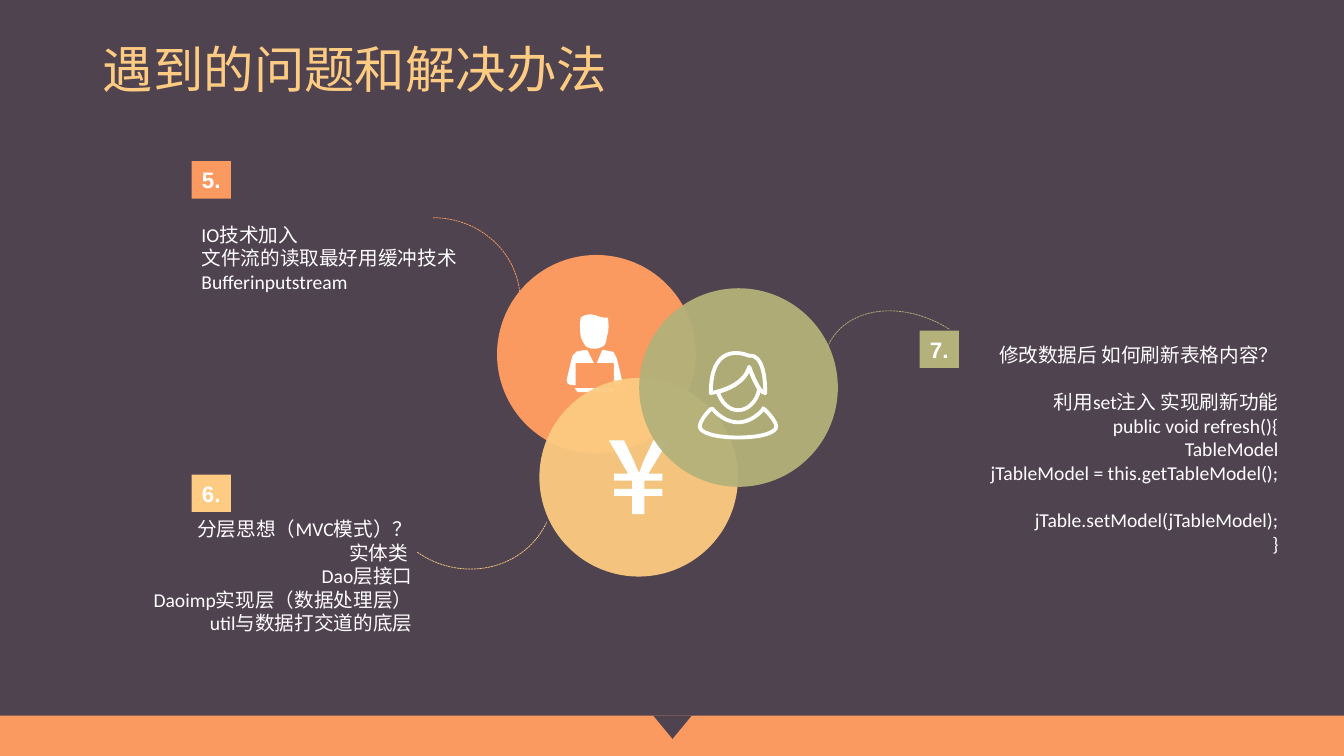
from lxml.etree import SubElement
from pptx import Presentation
from pptx.dml.color import RGBColor
from pptx.enum.dml import MSO_LINE
from pptx.enum.shapes import MSO_SHAPE
from pptx.enum.text import MSO_ANCHOR, PP_ALIGN
from pptx.oxml.ns import qn
from pptx.oxml.xmlchemy import OxmlElement
from pptx.util import Inches, Pt

PLUM, ORANGE, YELLOW, GREEN, WHITE = "4F434F", "FA9A60", "FDCB82", "B4B17A", "FFFFFF"
CIRCLE = 1.97

WORKER = [
    [(5.76, 3.34), (5.75, 3.27, 5.75, 3.21, 5.76, 3.15), (5.88, 3.07, 5.94, 3.17, 6.03, 3.15),
     (6.04, 3.21, 6.04, 3.29, 6.02, 3.34), (6.02, 3.37, 6.01, 3.39, 6, 3.42),
     (5.97, 3.45, 5.93, 3.46, 5.89, 3.46), (5.86, 3.46, 5.82, 3.45, 5.8, 3.42),
     (5.78, 3.39, 5.77, 3.37, 5.76, 3.34)],
    [(5.7, 3.85), (6.1, 3.85), (6.08, 3.89), (5.73, 3.89)],
    [(6.12, 3.56), (6.16, 3.73), (6.18, 3.79, 6.17, 3.82, 6.1, 3.82), (6.09, 3.82), (6.09, 3.6),
     (5.92, 3.6), (5.97, 3.48), (5.98, 3.47), (6.08, 3.49), (6.09, 3.5),
     (6.1, 3.52, 6.11, 3.54, 6.12, 3.56)],
    [(5.71, 3.82), (5.69, 3.82), (5.62, 3.82, 5.61, 3.79, 5.63, 3.73), (5.67, 3.56),
     (5.67, 3.53, 5.69, 3.51, 5.71, 3.5), (5.71, 3.49), (5.81, 3.47), (5.83, 3.48),
     (5.89, 3.6), (5.71, 3.6)],
]
YUAN = [
    [(6.57, 4.7), (6.57, 4.77), (6.39, 4.77), (6.39, 4.85), (6.57, 4.85), (6.57, 4.92),
     (6.39, 4.92), (6.39, 5.1), (6.27, 5.1), (6.27, 4.92), (6.09, 4.92), (6.09, 4.85),
     (6.27, 4.85), (6.27, 4.77), (6.09, 4.77), (6.09, 4.7), (6.23, 4.7), (6.04, 4.37),
     (6.19, 4.37), (6.29, 4.58), (6.3, 4.61, 6.32, 4.66, 6.34, 4.69),
     (6.35, 4.66, 6.37, 4.61, 6.38, 4.58), (6.48, 4.37), (6.63, 4.37), (6.43, 4.7)],
]
SHOULDERS = [
    [(7.57, 4.05), (7.57, 4.06), (7.5, 4.14, 7.41, 4.19, 7.32, 4.19),
     (7.23, 4.19, 7.14, 4.14, 7.07, 4.06), (7.06, 4.05), (6.98, 4.12, 6.94, 4.2, 6.94, 4.23),
     (6.94, 4.29, 7.08, 4.34, 7.32, 4.34), (7.56, 4.34, 7.7, 4.29, 7.7, 4.23),
     (7.7, 4.2, 7.65, 4.12, 7.57, 4.05)],
]
FACE = [
    [(7.43, 3.64), (7.43, 3.64, 7.41, 3.81, 7.12, 3.89), (7.15, 3.99, 7.23, 4.07, 7.32, 4.07),
     (7.42, 4.07, 7.51, 3.98, 7.53, 3.86), (7.48, 3.78, 7.43, 3.64, 7.43, 3.64)],
]
HAIR = [
    [(7.05, 3.9), (7.41, 3.83, 7.43, 3.64, 7.43, 3.64), (7.43, 3.64, 7.52, 3.9, 7.59, 3.9),
     (7.59, 3.48, 7.43, 3.53, 7.43, 3.53), (7.43, 3.53, 7.05, 3.35, 7.05, 3.9)],
]


def color(value):
    """Turn a hex string into a colour."""
    return RGBColor.from_string(value)


def paint(shape, fill=None, line=None, width=0.5):
    """Give a shape a plain fill and line without shadow."""
    shape.shadow.inherit = False
    if fill:
        shape.fill.solid()
        shape.fill.fore_color.rgb = color(fill)
    else:
        shape.fill.background()
    if line:
        shape.line.color.rgb = color(line)
        shape.line.width = Pt(width)
    else:
        shape.line.fill.background()


def add_preset(slide, kind, box, fill=None, line=None):
    """Add a painted preset shape in a box of inches."""
    shape = slide.shapes.add_shape(kind, *map(Inches, box))
    paint(shape, fill, line)
    return shape


def add_circle(slide, left, top, fill, opacity=100):
    """Add one of the overlapping circles."""
    circle = add_preset(slide, MSO_SHAPE.OVAL, (left, top, CIRCLE, CIRCLE), fill)
    if opacity < 100:
        tone = circle.element.spPr.find(f"{qn('a:solidFill')}/{qn('a:srgbClr')}")
        SubElement(tone, qn("a:alpha"), val=str(opacity * 1000))


def add_arc(slide, box, start, end, line, rotation=0, flip=False):
    """Add a dashed arc between two angles in degrees."""
    arc = add_preset(slide, MSO_SHAPE.ARC, box, line=line)
    arc.adjustments[0], arc.adjustments[1] = start * 0.6, end * 0.6
    arc.line.dash_style = MSO_LINE.SQUARE_DOT
    arc.rotation = rotation
    if flip:
        arc.element.spPr.xfrm.set("flipV", "1")


def split_points(part):
    """Split a flat part into points in EMU."""
    return [(Inches(x), Inches(y)) for x, y in zip(part[::2], part[1::2])]


def bend(shape, contours):
    """Merge the three segments of each six-number part into a cubic curve."""
    segments = iter(list(shape.element.spPr.iter(qn("a:lnTo"))))
    for part in (part for contour in contours for part in contour[1:]):
        group = [next(segments) for _ in range(len(part) // 2)]
        if len(group) == 3:
            curve = OxmlElement("a:cubicBezTo")
            group[0].addprevious(curve)
            for segment in group:
                curve.append(segment[0])
                segment.getparent().remove(segment)


def add_outline(shapes, contours, fill=None, line=None):
    """Add a freeform made of closed contours."""
    builder = shapes.build_freeform(*split_points(contours[0][0])[0])
    for index, (start, *parts) in enumerate(contours):
        if index:
            builder.move_to(*split_points(start)[0])
        builder.add_line_segments([point for part in parts for point in split_points(part)])
    shape = builder.convert_to_shape()
    bend(shape, contours)
    paint(shape, fill, line, 2.75)


def format_para(para, size, tone, font="Calibri", bold=False, align=PP_ALIGN.LEFT):
    """Format a paragraph and its runs."""
    para.alignment = align
    for span in para.runs:
        span.font.name, span.font.size, span.font.bold = font, Pt(size), bold
        span.font.color.rgb = color(tone)


def add_number(slide, left, top, text, fill):
    """Add a numbered square."""
    square = add_preset(slide, MSO_SHAPE.RECTANGLE, (left, top, 0.39, 0.37), fill)
    square.text_frame.word_wrap = False
    square.text_frame.text = text
    format_para(square.text_frame.paragraphs[0], 16, WHITE, "Arial", True, PP_ALIGN.CENTER)


def add_note(slide, left, top, height, lines, align, gaps=()):
    """Add a text block; gaps holds the lines that follow a blank space."""
    box = slide.shapes.add_textbox(*map(Inches, (left, top, 3.14, height)))
    frame = box.text_frame
    frame.word_wrap = True
    frame.text = "\n".join(lines)
    for index, para in enumerate(frame.paragraphs):
        format_para(para, 14, WHITE, align=align)
        if index in gaps:
            para.space_before = Pt(17)


def add_title(slide, text):
    """Fill and place the title placeholder."""
    title = slide.shapes.title
    title.left, title.top, title.width, title.height = map(Inches, (0.92, 0.4, 11.5, 1.45))
    title.text_frame.text = text
    title.text_frame.vertical_anchor = MSO_ANCHOR.TOP
    para = title.text_frame.paragraphs[0]
    para.line_spacing = 0.9
    format_para(para, 36, YELLOW)


def add_footer(slide):
    """Add the bottom band with its notch."""
    add_preset(slide, MSO_SHAPE.RECTANGLE, (0, 7.1, 13.33, 0.4), ORANGE)
    notch = add_preset(slide, MSO_SHAPE.ISOSCELES_TRIANGLE, (6.48, 7.1, 0.38, 0.23), PLUM)
    notch.rotation = 180


def add_circles(slide):
    """Add the three circles with their icons."""
    add_circle(slide, 4.93, 2.53, ORANGE)
    add_outline(slide.shapes, WORKER, fill=WHITE)
    add_circle(slide, 5.35, 3.75, YELLOW, 95)
    add_outline(slide.shapes, YUAN, fill=WHITE)
    add_circle(slide, 6.34, 2.86, GREEN, 95)
    woman = slide.shapes.add_group_shape()
    for contours in (SHOULDERS, FACE, HAIR):
        add_outline(woman.shapes, contours, line=WHITE)


def add_problems(slide):
    """Add the numbered problems and the arcs leading to them."""
    add_arc(slide, (3.43, 2.16, 1.73, 1.64), 270, 355.83, ORANGE)
    add_arc(slide, (3.77, 4.01, 1.73, 1.63), 252.59, 355.83, YELLOW, 19.8, True)
    add_arc(slide, (8.33, 2.93, 1.4, 1.84), 261.16, 2.12, GREEN, 301.6)
    add_number(slide, 1.9, 1.6, "5.", ORANGE)
    add_note(slide, 1.9, 2.16, 0.82,
             ["IO技术加入", "文件流的读取最好用缓冲技术", "Bufferinputstream"], PP_ALIGN.LEFT)
    add_number(slide, 1.9, 4.71, "6.", YELLOW)
    add_note(slide, 1.05, 5.08, 1.28,
             ["分层思想（MVC模式）？", "实体类 ", "Dao层接口", "Daoimp实现层（数据处理层）",
              "util与数据打交道的底层"], PP_ALIGN.RIGHT)
    add_number(slide, 9.12, 3.28, "7.", GREEN)
    add_note(slide, 9.64, 3.35, 2.45,
             ["修改数据后 如何刷新表格内容？", "利用set注入 实现刷新功能", "public void refresh(){",
              "TableModel\vjTableModel = this.getTableModel();", "jTable.setModel(jTableModel);",
              "}"], PP_ALIGN.RIGHT, gaps=(1, 4))


def main():
    """Build and save the deck."""
    deck = Presentation()
    deck.slide_width, deck.slide_height = Inches(13.33), Inches(7.5)
    page = deck.slides.add_slide(deck.slide_layouts[5])
    page.background.fill.solid()
    page.background.fill.fore_color.rgb = color(PLUM)
    add_footer(page)
    add_title(page, "遇到的问题和解决办法")
    add_circles(page)
    add_problems(page)
    deck.save("out.pptx")


if __name__ == "__main__":
    main()
